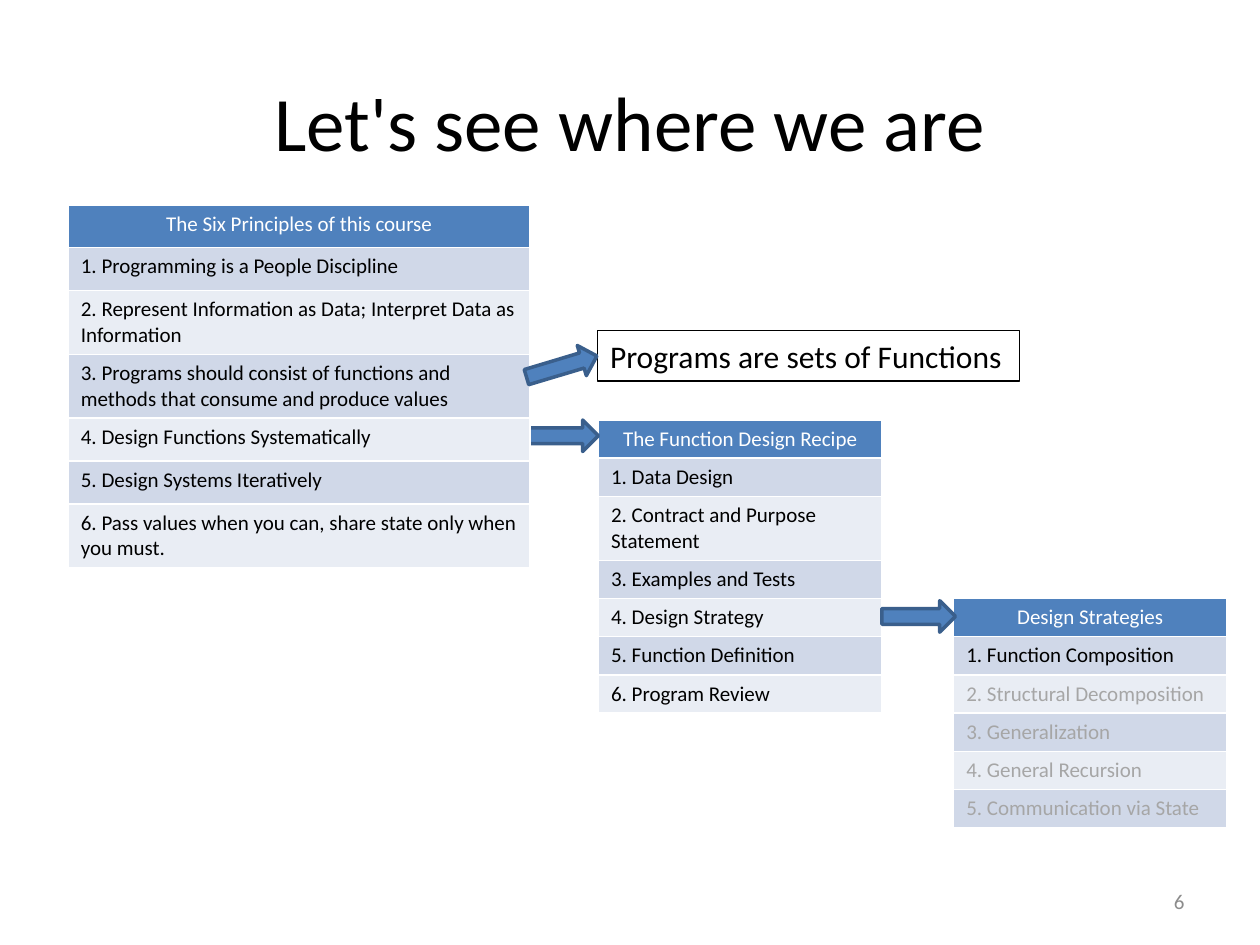
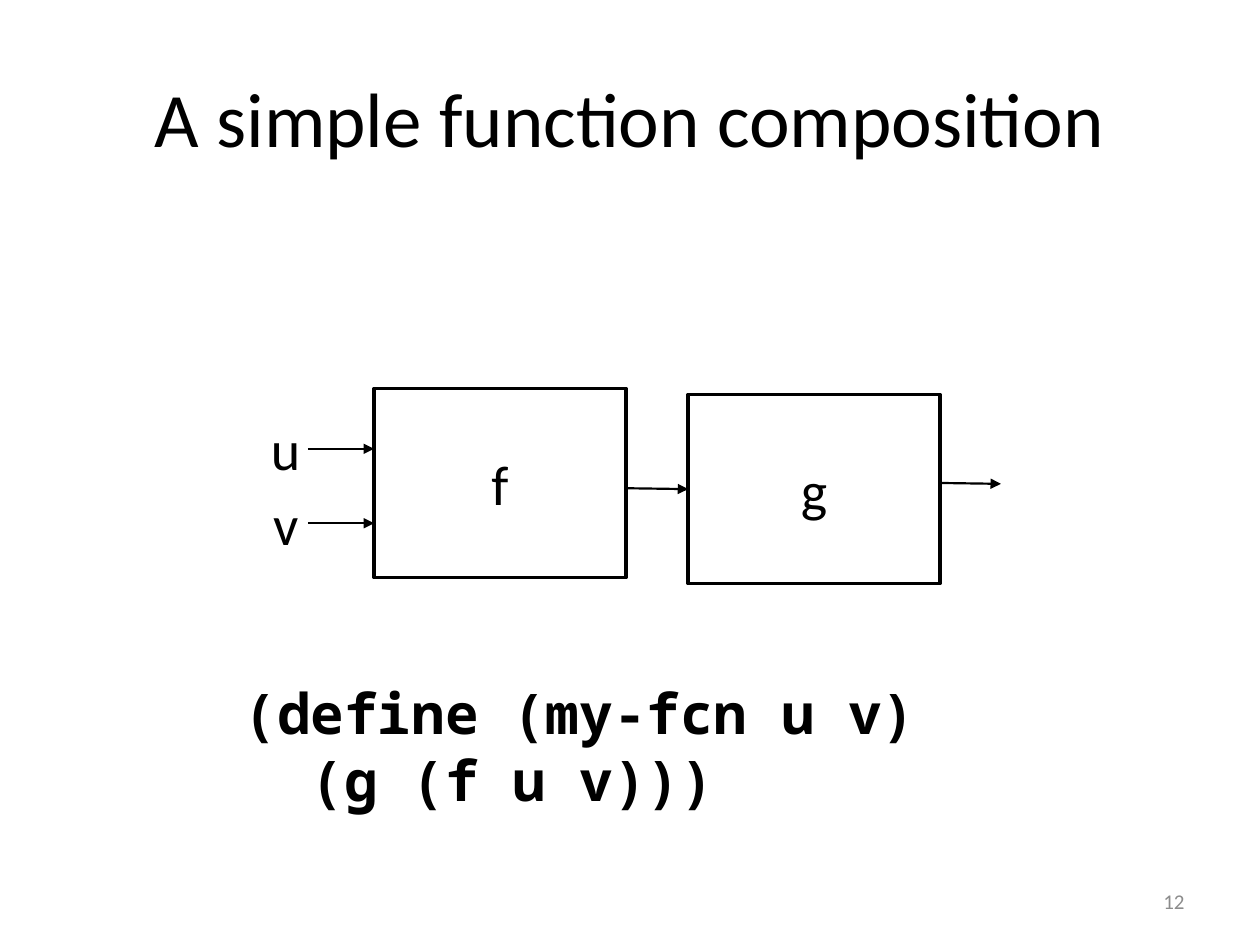
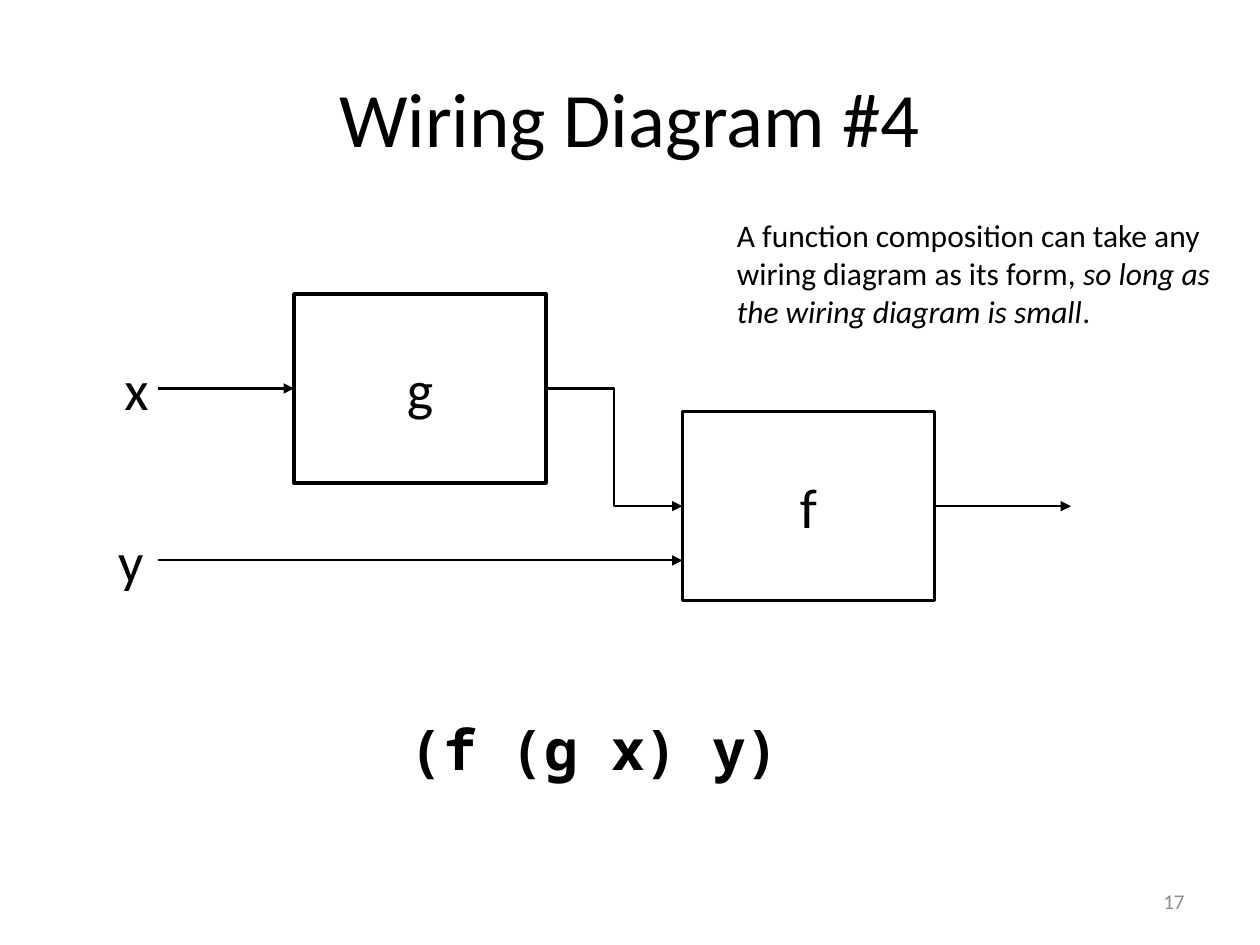
from lxml import etree
from pptx import Presentation
from pptx.dml.color import RGBColor
from pptx.enum import shapes, text
from pptx.oxml import ns
from pptx.util import Pt

BLACK = RGBColor(0x00, 0x00, 0x00)
WHITE = RGBColor(0xFF, 0xFF, 0xFF)
BLUE = RGBColor(0x4F, 0x81, 0xBD)
DARK_BLUE = RGBColor(0x3A, 0x5F, 0x8C)
BANDS = RGBColor(0xE9, 0xED, 0xF4), RGBColor(0xD0, 0xD8, 0xE8)
MUTED = RGBColor(0xA6, 0xA6, 0xA6)
GREY = RGBColor(0x8C, 0x8C, 0x8C)

SANS, MONO = "Calibri", "Noto Sans Mono"
LEFT, CENTER, RIGHT = text.PP_ALIGN.LEFT, text.PP_ALIGN.CENTER, text.PP_ALIGN.RIGHT
MIDDLE = text.MSO_ANCHOR.MIDDLE
LEFT_SIDE, RIGHT_SIDE = 1, 3

BOX_SIZE = 144, 108
ARROW_SIZE = 42, 18
ROW, TALL_ROW, TWO_LINE_ROW = 21.85, 24.5, 36.5

PRINCIPLES = [
    "1. Programming is a People Discipline",
    "2. Represent Information as Data; Interpret Data as Information",
    "3. Programs should consist of functions and methods that consume and produce values",
    "4. Design Functions Systematically",
    "5. Design Systems Iteratively",
    "6. Pass values when you can, share state only when you must.",
]
RECIPE = [
    "1. Data Design",
    "2. Contract and Purpose Statement",
    "3. Examples and Tests",
    "4. Design Strategy",
    "5. Function Definition",
    "6. Program Review",
]
STRATEGIES = [
    "1. Function Composition",
    "2. Structural Decomposition",
    "3. Generalization",
    "4. General Recursion",
    "5. Communication via State",
]


def points(*values):
    return [Pt(v) for v in values]


def write(p, words, align=LEFT, size=32, color=BLACK, **format_values):
    p.alignment = align
    r = p.add_run()
    r.text = words
    values = {"name": SANS, "size": Pt(size), "bold": False, **format_values}
    for name, value in values.items():
        setattr(r.font, name, value)
    r.font.color.rgb = color


def text_box(s, box, lines, wrap=True, anchor=text.MSO_ANCHOR.TOP, **format_values):
    sp = s.shapes.add_textbox(*points(*box))
    tf = sp.text_frame
    tf.word_wrap = wrap
    tf.vertical_anchor = anchor
    for i, line in enumerate(lines):
        p = tf.add_paragraph() if i else tf.paragraphs[0]
        write(p, line, **format_values)
    return sp


def code(s, box, lines):
    text_box(s, box, lines, name=MONO, bold=True)


def label(s, left, top, letter):
    text_box(s, (left, top, 30, 46), [letter], wrap=False)


def titled_slide(prs, title, number, top=21.6):
    s = prs.slides.add_slide(prs.slide_layouts[5])
    sp = s.shapes.title
    sp.left, sp.top, sp.width, sp.height = points(36, top, 648, 90)
    sp.text_frame.vertical_anchor = MIDDLE
    write(sp.text_frame.paragraphs[0], title, CENTER, 44)
    text_box(s, (516, 500.5, 168, 28.75), [str(number)], anchor=MIDDLE,
             align=RIGHT, size=12, color=GREY)
    return s


def list_table(s, left, top, width, header, items, row=ROW, two_line=(), muted_from=99):
    """Draw a header and banded items; two_line and muted_from count rows from the header."""
    heights = [TWO_LINE_ROW if i in two_line else row for i in range(len(items) + 1)]
    box = points(left, top, width, sum(heights))
    table = s.shapes.add_table(len(heights), 1, *box).table
    for i, (words, height) in enumerate(zip([header, *items], heights)):
        table.rows[i].height = Pt(height)
        cell = table.cell(i, 0)
        cell.fill.solid()
        cell.fill.fore_color.rgb = BANDS[i % 2] if i else BLUE
        color = MUTED if i >= muted_from else BLACK
        write(cell.text_frame.paragraphs[0], words, LEFT if i else CENTER, 12,
              color if i else WHITE)


def outlined(s, preset, box, fill, line, width):
    sp = s.shapes.add_shape(preset, *points(*box))
    sp.shadow.inherit = False
    sp.fill.solid()
    sp.fill.fore_color.rgb = fill
    sp.line.color.rgb = line
    sp.line.width = Pt(width)
    return sp


def block_arrow(s, left, top, rotation=0):
    sp = outlined(s, shapes.MSO_SHAPE.RIGHT_ARROW, (left, top, *ARROW_SIZE),
                  BLUE, DARK_BLUE, 2)
    sp.rotation = rotation


def function_box(s, left, top, name):
    sp = outlined(s, shapes.MSO_SHAPE.RECTANGLE, (left, top, *BOX_SIZE), WHITE, BLACK, 2)
    sp.text_frame.vertical_anchor = MIDDLE
    write(sp.text_frame.paragraphs[0], name, CENTER)
    return sp


def wire(s, start, end, source=None, target=None, kind=shapes.MSO_CONNECTOR.STRAIGHT):
    """Draw an arrow, joined to the right of source and the left of target if given."""
    cxn = s.shapes.add_connector(kind, *points(*start, *end))
    if source is not None:
        cxn.begin_connect(source, RIGHT_SIDE)
    if target is not None:
        cxn.end_connect(target, LEFT_SIDE)
    cxn.line.color.rgb = BLACK
    cxn.line.width = Pt(1.25)
    etree.SubElement(cxn.get_or_add_ln(), ns.qn("a:tailEnd"), type="triangle")
    etree.SubElement(cxn._element.spPr, ns.qn("a:effectLst"))


def overview_slide(prs):
    s = titled_slide(prs, "Let's see where we are", 6, top=24)
    list_table(s, 342, 240, 162, "The Function Design Recipe", RECIPE, two_line={2})
    block_arrow(s, 300, 240)
    list_table(s, 39, 117, 264, "The Six Principles of this course", PRINCIPLES,
               row=TALL_ROW, two_line={2, 3, 6})
    sp = text_box(s, (341.5, 188.75, 241.25, 29), ["Programs are sets of Functions"],
                  wrap=False, size=18)
    sp.line.color.rgb = BLACK
    sp.line.width = Pt(0.75)
    list_table(s, 545, 342, 156, "Design Strategies", STRATEGIES, muted_from=2)
    block_arrow(s, 504, 343.25)
    block_arrow(s, 300, 200.5, rotation=343.3)


def composition_slide(prs):
    s = titled_slide(prs, "A simple function composition", 12)
    f = function_box(s, 213.75, 222, "f")
    g = function_box(s, 393.25, 225.5, "g")
    f_right, g_right = [sp.left.pt + sp.width.pt for sp in (f, g)]
    wire(s, (f_right, 279), (393.25, 279.5), target=g)
    wire(s, (g_right, 276), (572, 276.5))
    for letter, left, y in (("u", 147.75, 256.5), ("v", 149, 299)):
        label(s, left, y - 23, letter)
        wire(s, (176, y), (213.75, y))
    code(s, (132, 384, 456, 85), ["(define (my-fcn u v)", "  (g (f u v)))"])


def wiring_slide(prs):
    s = titled_slide(prs, "Wiring Diagram #4", 17)
    g = function_box(s, 168, 168, "g")
    f = function_box(s, 390, 235.25, "f")
    wire(s, (312, 222), (390, 289.25), g, f, shapes.MSO_CONNECTOR.ELBOW)
    wire(s, (90, 222), (168, 222), target=g)
    wire(s, (534, 289.25), (612, 289.25), source=f)
    wire(s, (90, 320.25), (390, 320.25))
    label(s, 64, 199, "x")
    label(s, 60.5, 297.25, "y")
    code(s, (227, 405, 237.5, 46), ["(f (g x) y)"])
    note = text_box(s, (414, 120, 306, 72.75),
                    ["A function composition can take any wiring diagram as its form, "],
                    size=18)
    p = note.text_frame.paragraphs[0]
    write(p, "so long as the wiring diagram is small", size=18, italic=True)
    write(p, ".", size=18)


def main():
    prs = Presentation()
    prs.slide_width, prs.slide_height = points(720, 540)
    overview_slide(prs)
    composition_slide(prs)
    wiring_slide(prs)
    prs.save("out.pptx")


if __name__ == "__main__":
    main()
